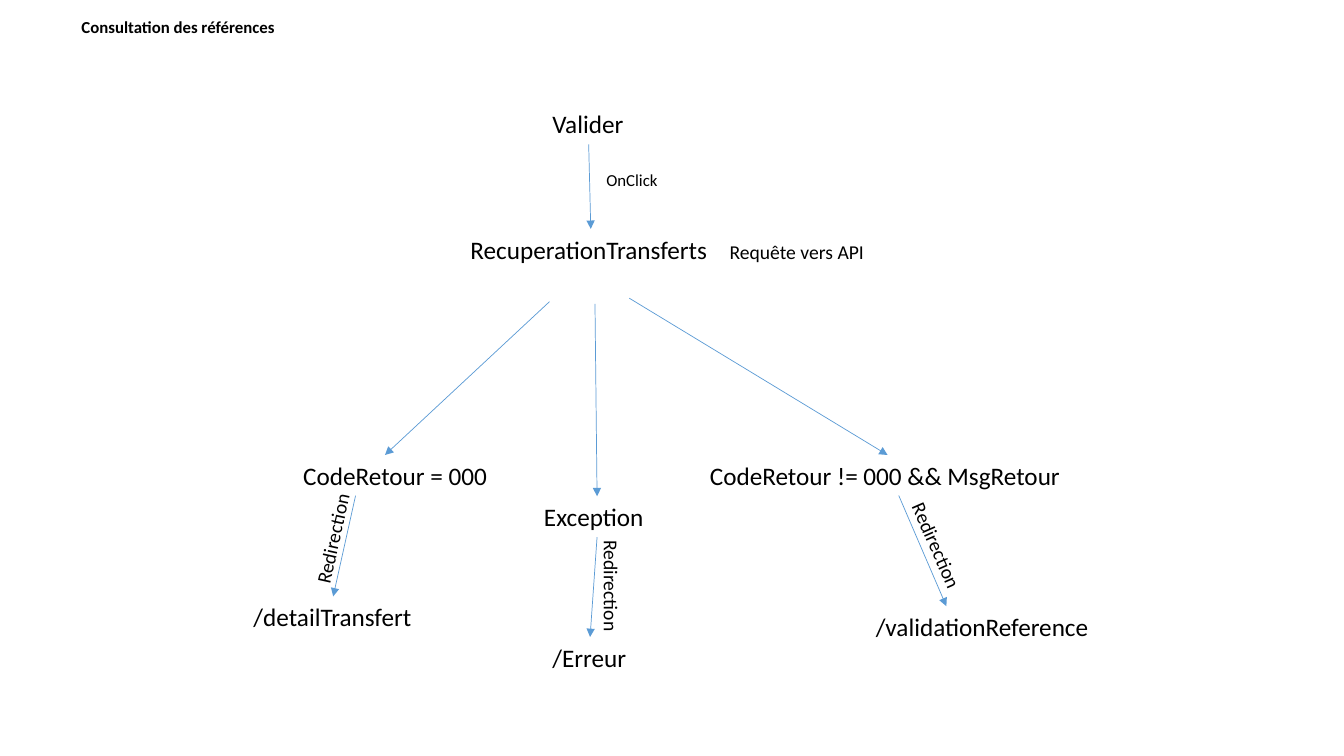
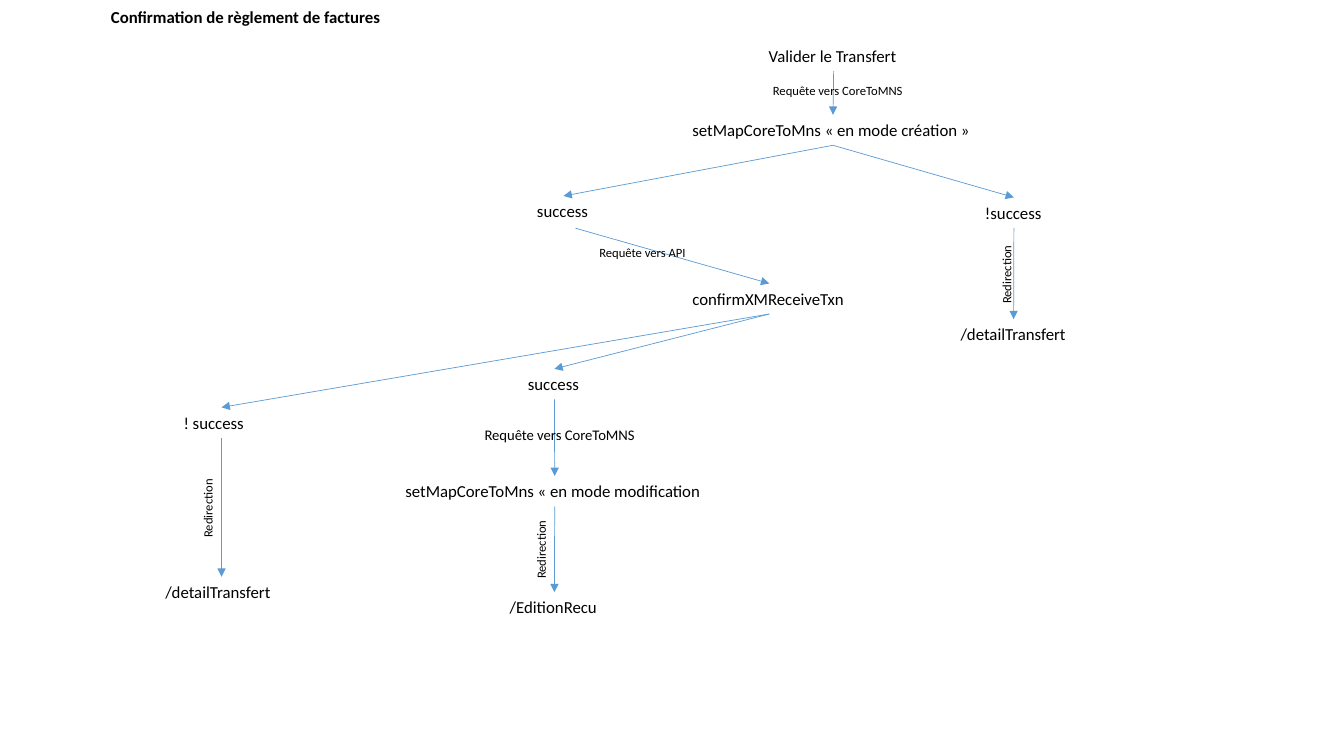
from lxml.etree import SubElement
from pptx import Presentation
from pptx.dml.color import RGBColor
from pptx.enum.shapes import MSO_CONNECTOR as Connector
from pptx.enum.text import MSO_ANCHOR as Anchor
from pptx.enum.text import MSO_AUTO_SIZE as AutoSize
from pptx.enum.text import PP_ALIGN as Align
from pptx.oxml.ns import qn
from pptx.util import Pt

FONT = "Calibri"
TEXT_COLOUR = "000000"
ARROW_COLOUR = "5B9BD5"
TITLE_SIZE = 12
TITLE_ONLY = 5
TOP, BOTTOM = 0, 2


def colour(hex_string):
    """Turn a hex string into a colour."""
    return RGBColor.from_string(hex_string)


def line_height(size):
    """Return the height in points of a box with one line of text."""
    return round(1.22 * size + 7.2, 1)


def write(shape, text, size, bold=False, wrap=False):
    """Write one left-aligned line of text into a shape."""
    frame = shape.text_frame
    frame.word_wrap = wrap
    frame.auto_size = AutoSize.SHAPE_TO_FIT_TEXT
    frame.vertical_anchor = Anchor.TOP
    paragraph = frame.paragraphs[0]
    paragraph.alignment = Align.LEFT
    run = paragraph.add_run()
    run.text = text
    run.font.name = FONT
    run.font.size = Pt(size)
    run.font.bold = bold
    run.font.color.rgb = colour(TEXT_COLOUR)


def add_titled_slide(presentation, title, left, top, width):
    """Add a slide with its small bold title."""
    slide = presentation.slides.add_slide(presentation.slide_layouts[TITLE_ONLY])
    shape = slide.shapes.title
    shape.left, shape.top = Pt(left), Pt(top)
    shape.width, shape.height = Pt(width), Pt(line_height(TITLE_SIZE))
    write(shape, title, TITLE_SIZE, bold=True, wrap=True)
    return slide


def add_text(slide, box, text, left, top, width, size, rotation=0, wrap=False):
    """Add a line of text placed relative to the diagram box."""
    shape = slide.shapes.add_textbox(
        Pt(box[0] + left), Pt(box[1] + top), Pt(width), Pt(line_height(size)))
    shape.rotation = rotation
    write(shape, text, size, wrap=wrap)
    return shape


def add_arrow(slide, box, start, end):
    """Draw an arrow between two ends, each a step or a point in the box."""
    points = [[Pt(box[axis] + place[axis]) for axis in (0, 1)]
              if isinstance(place, tuple) else [place.left, place.top]
              for place in (start, end)]
    arrow = slide.shapes.add_connector(Connector.STRAIGHT, *points[0], *points[1])
    if not isinstance(start, tuple):
        arrow.begin_connect(start, BOTTOM)
    if not isinstance(end, tuple):
        arrow.end_connect(end, TOP)
    arrow.line.width = Pt(0.5)
    arrow.line.color.rgb = colour(ARROW_COLOUR)
    SubElement(arrow.line._get_or_add_ln(), qn("a:tailEnd"), type="triangle")
    SubElement(arrow._element.spPr, qn("a:effectLst"))


def add_flow(slide, box, step_size, steps, arrows, labels):
    """Build a flow of steps, arrows and labels inside a box."""
    shapes = {
        name: add_text(slide, box, text, left, top, width, step_size, wrap=name in WRAPPED)
        for name, (text, left, top, width) in steps.items()}
    for start, end in arrows:
        add_arrow(slide, box, shapes.get(start, start), shapes.get(end, end))
    for label in labels:
        add_text(slide, box, *label)


WRAPPED = {"exception", "confirm failure", "confirm detail"}

REFERENCE_STEPS = {
    "validate": ("Valider", 213.5, 0, 66),
    "fetch": ("RecuperationTransferts", 155, 89.5, 186),
    "code ok": ("CodeRetour = 000", 35.5, 251, 148),
    "code error": ("CodeRetour != 000 && MsgRetour", 326, 251, 268),
    "exception": ("Exception", 207.5, 280.5, 90),
    "detail": ("/detailTransfert", 0, 352, 128),
    "reference": ("/validationReference", 444.5, 359, 168.5),
    "error page": ("/Erreur", 213.5, 381, 68),
}
REFERENCE_ARROWS = [
    ("validate", "fetch"),
    ((218.5, 141.5), (101, 251)),
    ((275.5, 139), "code error"),
    ((251, 143), "exception"),
    ((80, 280), "detail"),
    ((468, 280), (502, 359)),
    ("exception", "error page"),
]
REFERENCE_LABELS = [
    ("OnClick", 252, 44, 52, 12),
    ("Requête vers API", 340, 94, 112, 14),
    ("Redirection", 23.5, 298, 80.5, 14, 282.5),
    ("Redirection", 455, 304, 80.5, 14, 66.4),
    ("Redirection", 222.5, 333, 80.5, 14, 90),
]

PAYMENT_STEPS = {
    "validate": ("Valider le Transfert", 431, 0, 107),
    "create": ("setMapCoreToMns « en mode création »", 376.5, 53, 215),
    "create success": ("success", 265.5, 111, 52),
    "create failure": ("!success", 585.5, 112, 55.5),
    "create detail": ("/detailTransfert", 568, 199, 90),
    "confirm": ("confirmXMReceiveTxn", 376.5, 173.5, 124),
    "confirm success": ("success", 259, 234.5, 52),
    "confirm failure": ("! success", 13, 262, 68.5),
    "confirm detail": ("/detailTransfert", 0, 383, 94.5),
    "modify": ("setMapCoreToMns « en mode modification", 171.5, 311, 227.5),
    "receipt": ("/EditionRecu", 246, 394, 78),
}
PAYMENT_ARROWS = [
    ("validate", "create"),
    ("create", "create success"),
    ("create", "create failure"),
    ("create failure", "create detail"),
    ((300, 134), "confirm"),
    ("confirm", "confirm success"),
    ("confirm", "confirm failure"),
    ("confirm failure", "confirm detail"),
    ("confirm success", "modify"),
    ("modify", "receipt"),
]
PAYMENT_LABELS = [
    ("Requête vers CoreToMNS", 434, 27, 109.5, 9),
    ("Requête vers CoreToMNS", 228, 271.5, 125.5, 10.5),
    ("Requête vers API", 310, 142.5, 78, 9),
    ("Redirection", 9, 324.5, 57, 9, 270),
    ("Redirection", 579.5, 157.5, 57, 9, 270),
    ("Redirection", 247, 354, 57, 9, 270),
]


def main():
    """Build and save the presentation."""
    presentation = Presentation()
    presentation.slide_width, presentation.slide_height = Pt(960), Pt(540)
    slide = add_titled_slide(presentation, "Consultation des références", 51, 8, 160)
    add_flow(slide, (174, 74), 18, REFERENCE_STEPS, REFERENCE_ARROWS, REFERENCE_LABELS)
    slide = add_titled_slide(
        presentation, "Confirmation de règlement de factures", 72, 1.5, 216)
    add_flow(slide, (111, 29), 12, PAYMENT_STEPS, PAYMENT_ARROWS, PAYMENT_LABELS)
    presentation.save("out.pptx")


if __name__ == "__main__":
    main()
